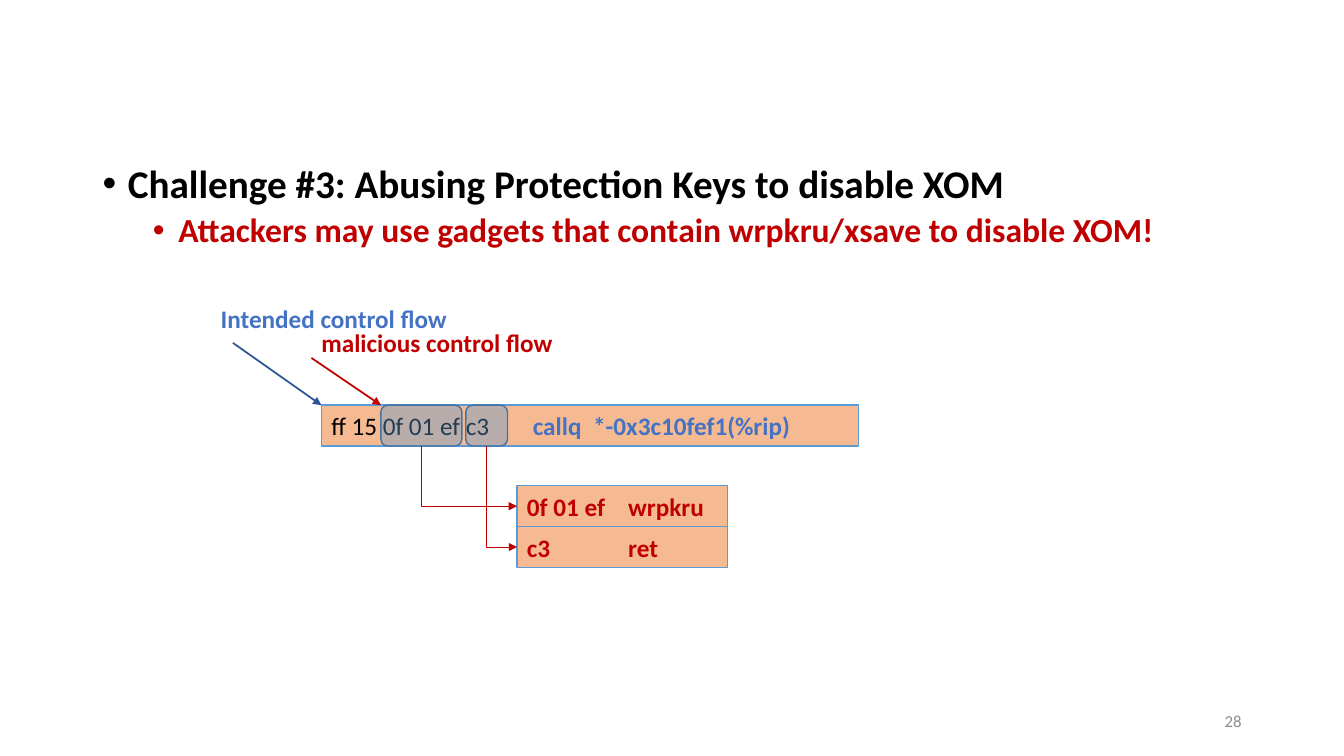
from lxml import etree
from pptx import Presentation
from pptx.dml.color import RGBColor
from pptx.enum.shapes import MSO_CONNECTOR, MSO_SHAPE
from pptx.enum.text import MSO_ANCHOR, MSO_AUTO_SIZE, PP_ALIGN
from pptx.oxml.ns import qn
from pptx.util import Cm, Pt

BLACK = RGBColor(0x00, 0x00, 0x00)
RED = RGBColor(0xC0, 0x00, 0x00)
BLUE = RGBColor(0x44, 0x72, 0xC4)
NAVY = RGBColor(0x2F, 0x55, 0x97)
ORANGE = RGBColor(0xED, 0x7D, 0x31)
SKY = RGBColor(0x5B, 0x9B, 0xD5)
STEEL = RGBColor(0x43, 0x73, 0x9E)
GREY = RGBColor(0x8C, 0x8C, 0x8C)

RECT, ROUNDED = MSO_SHAPE.RECTANGLE, MSO_SHAPE.ROUNDED_RECTANGLE
STRAIGHT, ELBOW = MSO_CONNECTOR.STRAIGHT, MSO_CONNECTOR.ELBOW
LEFT, RIGHT = PP_ALIGN.LEFT, PP_ALIGN.RIGHT
TOP, MIDDLE = MSO_ANCHOR.TOP, MSO_ANCHOR.MIDDLE
NO_AUTOFIT = MSO_AUTO_SIZE.NONE

FONT = "Calibri"
ROW_H = 1.03
CODE_X, CODE_Y = 8.1, 10.21
GADGET_X, GADGET_Y = 13.03, 12.24


def add_run(p, text, size=18, color=BLACK, bold=False):
    r = p.add_run()
    r.text = text
    r.font.name = FONT
    r.font.size = Pt(size)
    r.font.bold = bold
    r.font.color.rgb = color


def set_tabs(p, stops):
    tabs = etree.SubElement(p._p.get_or_add_pPr(), qn("a:tabLst"))
    for stop in stops:
        etree.SubElement(tabs, qn("a:tab"), pos=str(Cm(stop)), algn="l")


def add_bullet(p, text, level, indent, size, color, before):
    p.level = level
    pPr = p._p.get_or_add_pPr()
    pPr.set("marL", str(Cm(indent)))
    pPr.set("indent", str(Cm(-0.64)))
    etree.SubElement(pPr, qn("a:buFont"), typeface="Arial")
    etree.SubElement(pPr, qn("a:buChar"), char="•")
    p.line_spacing = 0.9
    p.space_before = Pt(before)
    add_run(p, text, size=size, color=color, bold=True)


def add_label(s, text, x, y, w, align=LEFT, anchor=TOP, **font):
    tf = s.shapes.add_textbox(Cm(x), Cm(y), Cm(w), Cm(ROW_H)).text_frame
    tf.word_wrap = True
    tf.vertical_anchor = anchor
    p = tf.paragraphs[0]
    p.alignment = align
    add_run(p, text, **font)


def add_box(s, kind, x, y, w, fill, opacity, line):
    sp = s.shapes.add_shape(kind, Cm(x), Cm(y), Cm(w), Cm(ROW_H))
    sp.shadow.inherit = False
    sp.fill.solid()
    sp.fill.fore_color.rgb = fill
    color = sp.fill._xPr.find(qn("a:solidFill"))[0]
    etree.SubElement(color, qn("a:alpha"), val=str(opacity * 1000))
    sp.line.color.rgb = line
    sp.line.width = Pt(1)
    return sp


def add_code_row(s, x, y, w, runs, stops):
    """Draw an orange box of code whose columns are set by tab stops."""
    sp = add_box(s, RECT, x, y, w, ORANGE, 53, SKY)
    p = sp.text_frame.paragraphs[0]
    p.alignment = LEFT
    set_tabs(p, stops)
    for text, color, bold in runs:
        add_run(p, text, color=color, bold=bold)


def add_arrow(s, kind, x1, y1, x2, y2, color, width):
    cxn = s.shapes.add_connector(kind, Cm(x1), Cm(y1), Cm(x2), Cm(y2))
    cxn.line.color.rgb = color
    cxn.line.width = Pt(width)
    etree.SubElement(cxn.line._get_or_add_ln(), qn("a:tailEnd"), type="triangle")
    etree.SubElement(cxn._element.spPr, qn("a:effectLst"))
    return cxn


def add_down_right_arrow(s, x1, y1, x2, y2):
    """Draw an elbow arrow down and then right, as a turned one-bend connector."""
    dx, dy = x2 - x1, y2 - y1
    left, top = (x1 + x2 - dy) / 2, (y1 + y2 - dx) / 2
    cxn = add_arrow(s, ELBOW, left, top, left + dy, top + dx, RED, 0.5)
    spPr = cxn._element.spPr
    spPr.find(qn("a:prstGeom")).set("prst", "bentConnector2")
    xfrm = spPr.find(qn("a:xfrm"))
    xfrm.set("rot", "16200000")
    xfrm.set("flipH", "1")


def fill_body(body):
    body.left, body.top = Cm(2.33), Cm(4.01)
    body.width, body.height = Cm(28.83), Cm(3.51)
    tf = body.text_frame
    tf.auto_size = NO_AUTOFIT
    add_bullet(tf.paragraphs[0],
               "Challenge #3: Abusing Protection Keys to disable XOM",
               0, 0.64, 28, BLACK, 0)
    add_bullet(tf.add_paragraph(),
               "Attackers may use gadgets that contain wrpkru/xsave to disable XOM!",
               1, 1.91, 24, RED, 5)


def draw_gadget_diagram(s):
    add_code_row(s, CODE_X, CODE_Y, 13.54,
                 [("ff 15 0f 01 ef c3\t", BLACK, False),
                  ("callq\t*-0x3c10fef1(%rip)", BLUE, True)], [5.08, 6.6])
    gadgets = [(9.6, 2.04, "0f 01 ef\twrpkru"), (11.74, 1.05, "c3\tret")]
    for x, w, _ in gadgets:
        add_box(s, ROUNDED, x, CODE_Y, w, SKY, 39, STEEL)
    for i, (x, w, text) in enumerate(gadgets):
        y = GADGET_Y + i * ROW_H
        add_code_row(s, GADGET_X, y, 5.31, [(text, RED, True)], [2.55])
        add_down_right_arrow(s, x + w / 2, CODE_Y + ROW_H,
                             GADGET_X, y + ROW_H / 2)
    add_arrow(s, STRAIGHT, 7.85, 9.02, 9.6, CODE_Y, RED, 1.25)
    add_arrow(s, STRAIGHT, 5.87, 8.64, CODE_X, CODE_Y, NAVY, 1.25)
    add_label(s, "malicious control flow", 7.85, 8.13, 7.5, color=RED, bold=True)
    add_label(s, "Intended control flow", 5.31, 7.52, 7.5, color=BLUE, bold=True)


def main():
    prs = Presentation()
    prs.slide_width, prs.slide_height = Cm(33.87), Cm(19.05)
    s = prs.slides.add_slide(prs.slide_layouts[1])
    title = s.shapes.title._element
    title.getparent().remove(title)
    fill_body(s.placeholders[1])
    draw_gadget_diagram(s)
    add_label(s, "28", 23.92, 17.66, 7.62, align=RIGHT, anchor=MIDDLE,
              size=12, color=GREY)
    prs.save("out.pptx")


if __name__ == "__main__":
    main()
